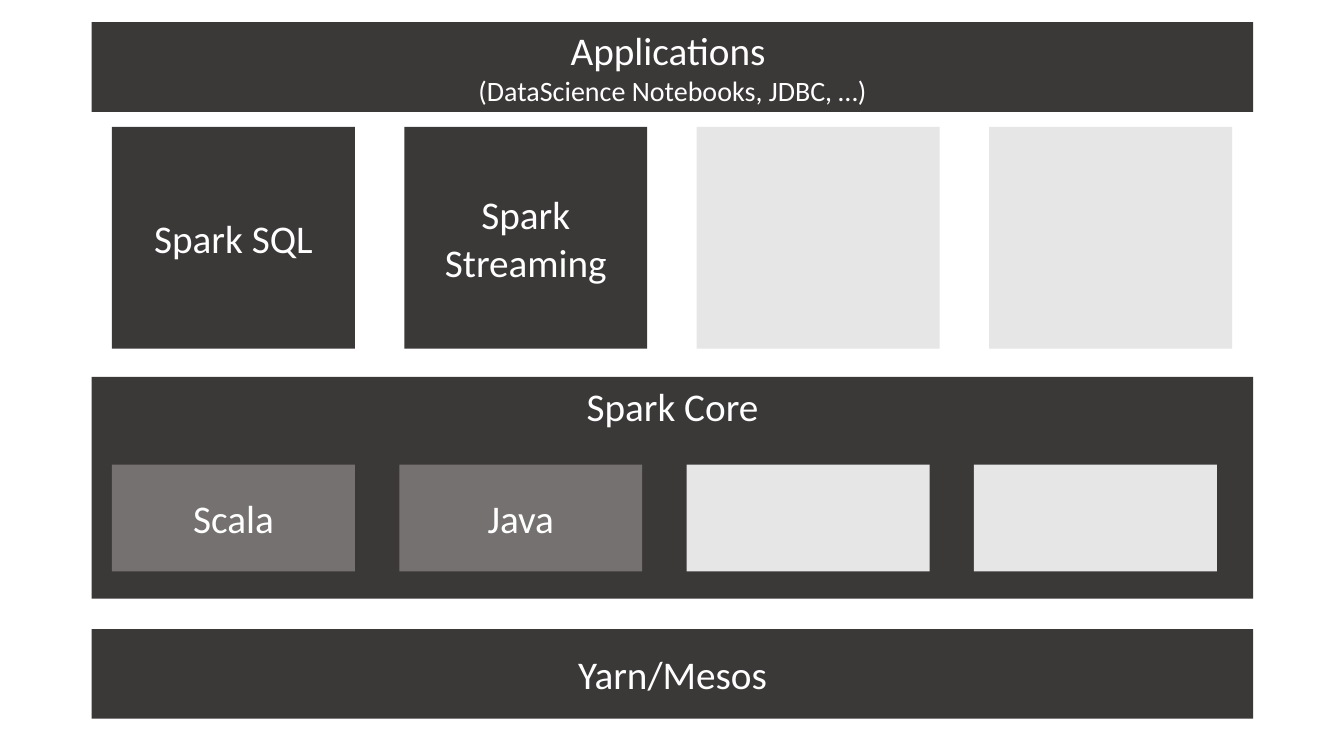
from dataclasses import dataclass

from pptx import Presentation
from pptx.dml.color import RGBColor
from pptx.enum.shapes import MSO_SHAPE as Shape
from pptx.enum.text import MSO_ANCHOR as Anchor, PP_ALIGN as Align
from pptx.util import Inches, Pt


@dataclass(frozen=True)
class Theme:
    dark: str = "3B3838"
    middle: str = "767171"
    pale: str = "E7E6E6"
    text: str = "FFFFFF"
    font: str = "Calibri"
    label_size: int = 28
    detail_size: int = 20


THEME = Theme()


def add_block(page, box, fill, lines=(), anchor=Anchor.MIDDLE):
    block = page.shapes.add_shape(Shape.RECTANGLE, *map(Inches, box))
    block.shadow.inherit = False
    block.fill.solid()
    block.fill.fore_color.rgb = RGBColor.from_string(fill)
    block.line.fill.background()
    frame = block.text_frame
    for name, value in {"word_wrap": True, "vertical_anchor": anchor}.items():
        setattr(frame, name, value)
    for index, (text, size) in enumerate(lines):
        para = frame.add_paragraph() if index else frame.paragraphs[0]
        para.alignment = Align.CENTER
        span = para.add_run()
        span.text = text
        for name, value in {"name": THEME.font, "size": Pt(size)}.items():
            setattr(span.font, name, value)
        span.font.color.rgb = RGBColor.from_string(THEME.text)


def add_row(page, box, pitch, fill, labels, columns=4):
    left, top, width, height = box
    for column in range(columns):
        cell = (left + column * pitch, top, width, height)
        if column < len(labels):
            add_block(page, cell, fill, [(labels[column], THEME.label_size)])
        else:
            add_block(page, cell, THEME.pale)


def add_core(page, box):
    left, top, width, height = box
    add_block(page, box, THEME.dark, [("Spark Core", THEME.label_size)], Anchor.TOP)
    add_row(page, (left + 0.2, top + 0.87, 2.41, 1.06), 2.85, THEME.middle,
            ["Scala", "Java"])


def add_modules(page, box):
    left, top, width, height = box
    add_row(page, (left + 0.2, top, 2.41, height), 2.9, THEME.dark,
            ["Spark SQL", "Spark Streaming"])


def build_stack(page, box):
    left, top, width, height = box
    band = 0.89
    add_core(page, (left, top + 3.52, width, 2.2))
    add_modules(page, (left, top + 1.04, width, 2.2))
    add_block(page, (left, top + height - band, width, band), THEME.dark,
              [("Yarn/Mesos", THEME.label_size)])
    add_block(page, (left, top, width, band), THEME.dark,
              [("Applications ", THEME.label_size),
               ("(DataScience Notebooks, JDBC, …)", THEME.detail_size)])


def main():
    deck = Presentation()
    for name, value in {"slide_width": 13.33, "slide_height": 7.5}.items():
        setattr(deck, name, Inches(value))
    page = deck.slides.add_slide(deck.slide_layouts[6])
    build_stack(page, (0.91, 0.22, 11.52, 6.91))
    deck.save("out.pptx")


if __name__ == "__main__":
    main()
